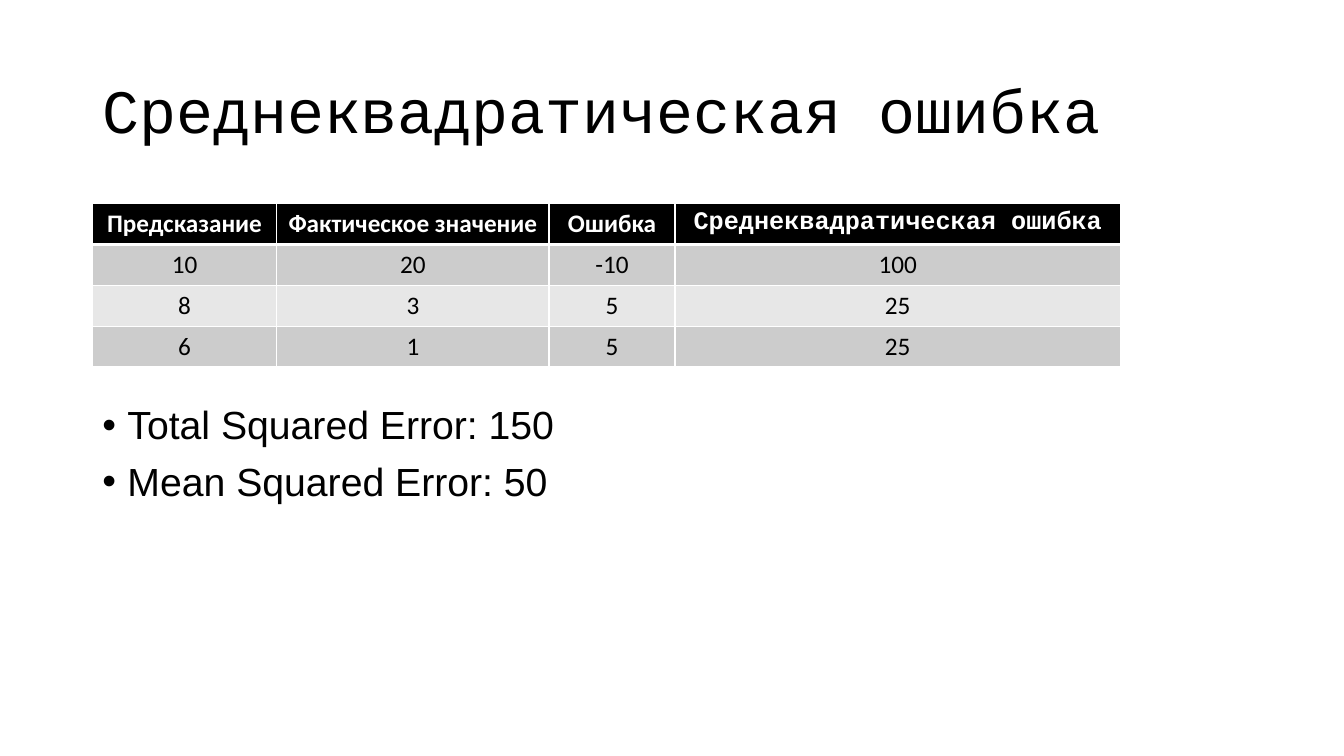
from dataclasses import dataclass

from lxml.etree import SubElement
from pptx import Presentation
from pptx.dml.color import RGBColor
from pptx.enum.text import MSO_ANCHOR, PP_ALIGN
from pptx.oxml.ns import qn
from pptx.slide import Slide
from pptx.table import _Cell
from pptx.text.text import TextFrame, _Paragraph
from pptx.util import Pt


@dataclass(frozen=True)
class Theme:
    black: str = "000000"
    white: str = "FFFFFF"
    bands: tuple[str, str] = ("CCCCCC", "E7E7E7")
    title_size: float = 44
    bullet_size: float = 28
    cell_size: float = 18
    mono: str = "Courier New"
    sans: str = "Arial"
    table: str = "Calibri"
    thin: float = 1
    thick: float = 3


@dataclass(frozen=True)
class Box:
    left: float
    top: float
    width: float
    height: float

    def lengths(self) -> tuple[Pt, ...]:
        return Pt(self.left), Pt(self.top), Pt(self.width), Pt(self.height)


@dataclass(frozen=True)
class Column:
    width: float
    heading: str
    values: tuple[int, ...]
    heading_font: str = Theme.table


THEME = Theme()
TITLE = "Среднеквадратическая ошибка"
TITLE_BOX = Box(66, 28.75, 855, 104.4)
TABLE_BOX = Box(66, 145.6, 734.4, 116.64)
BULLETS_BOX = Box(66, 286.5, 828, 199.5)
COLUMNS = (
    Column(131.76, "Предсказание", (10, 8, 6)),
    Column(194.4, "Фактическое значение", (20, 3, 1)),
    Column(90, "Ошибка", (-10, 5, 5)),
    Column(318.24, TITLE, (100, 25, 25), THEME.mono),
)
BULLETS = ("Total Squared Error: 150", "Mean Squared Error: 50")
INDENT = 18


def write(p: _Paragraph, text: str, font: str, size: float, color: str,
          bold: bool = False) -> None:
    r = p.add_run()
    r.text = text
    for name, value in {"name": font, "size": Pt(size), "bold": bold}.items():
        setattr(r.font, name, value)
    r.font.color.rgb = RGBColor.from_string(color)


def add_text_box(slide: Slide, box: Box, anchor: MSO_ANCHOR) -> TextFrame:
    tf = slide.shapes.add_textbox(*box.lengths()).text_frame
    tf.word_wrap = True
    tf.vertical_anchor = anchor
    return tf


def add_title(slide: Slide) -> None:
    p = add_text_box(slide, TITLE_BOX, MSO_ANCHOR.MIDDLE).paragraphs[0]
    p.line_spacing = 0.9
    write(p, TITLE, THEME.mono, THEME.title_size, THEME.black)


def add_bullets(slide: Slide) -> None:
    tf = add_text_box(slide, BULLETS_BOX, MSO_ANCHOR.TOP)
    for i, text in enumerate(BULLETS):
        p = tf.add_paragraph() if i else tf.paragraphs[0]
        p.line_spacing = 0.9
        p.space_before = Pt(10 if i else 0)
        pPr = p._p.get_or_add_pPr()
        pPr.set("marL", str(Pt(INDENT)))
        pPr.set("indent", str(-Pt(INDENT)))
        SubElement(pPr, qn("a:buFont"), typeface=THEME.sans)
        SubElement(pPr, qn("a:buChar"), char="•")
        write(p, text, THEME.sans, THEME.bullet_size, THEME.black)


def set_borders(cell: _Cell, row: int) -> None:
    """Draw thin lines, with a thick one between heading and values."""
    widths = {
        "L": THEME.thin,
        "R": THEME.thin,
        "T": THEME.thick if row == 1 else THEME.thin,
        "B": THEME.thick if row == 0 else THEME.thin,
    }
    tcPr = cell._tc.get_or_add_tcPr()
    for side, width in widths.items():
        ln = SubElement(tcPr, qn(f"a:ln{side}"), w=str(Pt(width)))
        fill = SubElement(ln, qn("a:solidFill"))
        SubElement(fill, qn("a:srgbClr"), val=THEME.white)


def fill_cell(cell: _Cell, row: int, column: Column) -> None:
    set_borders(cell, row)
    is_heading = row == 0
    fill = THEME.black if is_heading else THEME.bands[(row - 1) % 2]
    cell.fill.solid()
    cell.fill.fore_color.rgb = RGBColor.from_string(fill)
    p = cell.text_frame.paragraphs[0]
    p.alignment = PP_ALIGN.CENTER
    if is_heading:
        write(p, column.heading, column.heading_font, THEME.cell_size,
              THEME.white, bold=True)
    else:
        write(p, str(column.values[row - 1]), THEME.table, THEME.cell_size,
              THEME.black)


def add_error_table(slide: Slide) -> None:
    row_count = 1 + len(COLUMNS[0].values)
    table = slide.shapes.add_table(
        row_count, len(COLUMNS), *TABLE_BOX.lengths()).table
    for i, column in enumerate(COLUMNS):
        table.columns[i].width = Pt(column.width)
        for row in range(row_count):
            fill_cell(table.cell(row, i), row, column)


def main() -> None:
    prs = Presentation()
    prs.slide_width, prs.slide_height = Pt(960), Pt(540)
    slide = prs.slides.add_slide(prs.slide_layouts[6])
    add_title(slide)
    add_error_table(slide)
    add_bullets(slide)
    prs.save("out.pptx")


if __name__ == "__main__":
    main()
